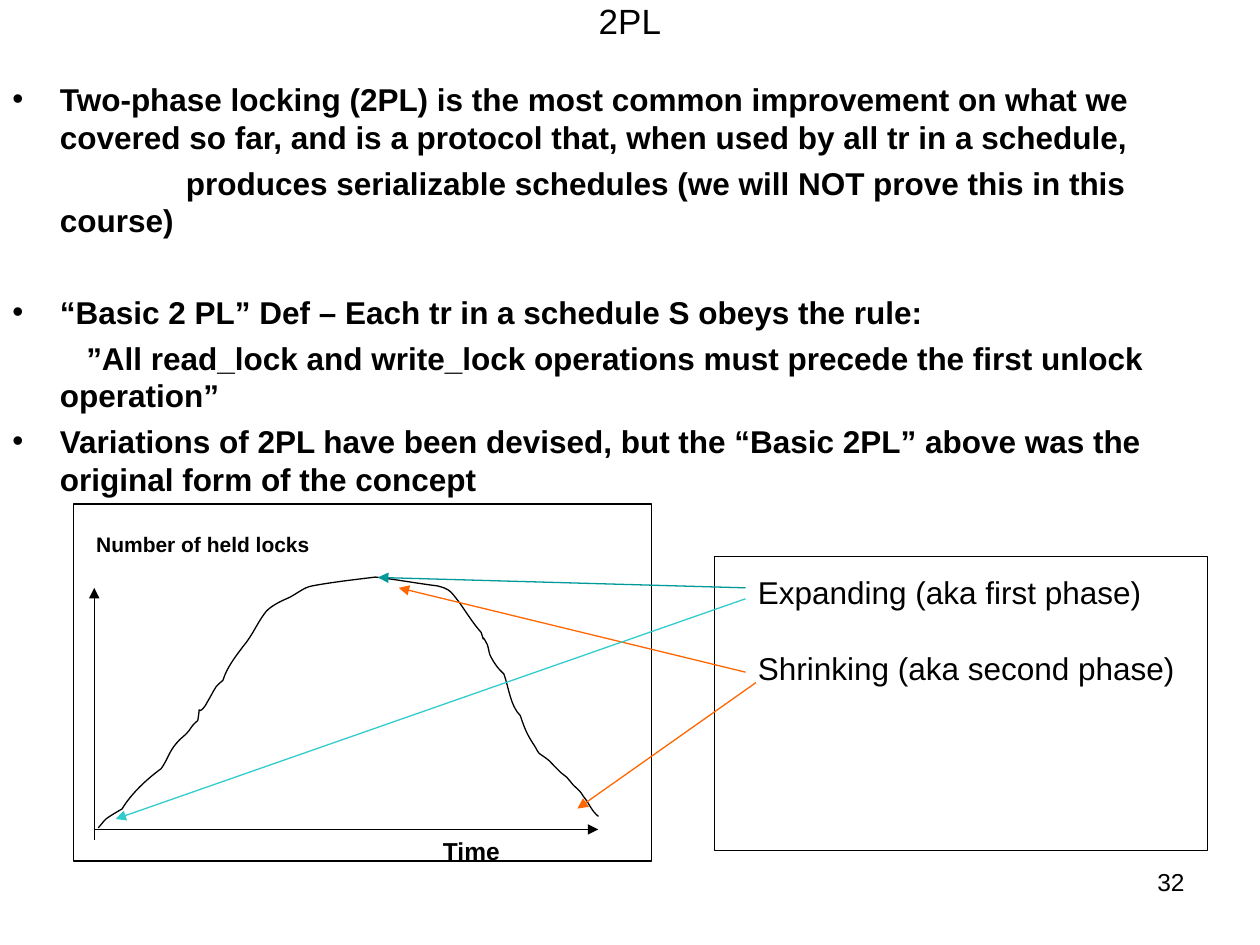
"""Build the slide on two-phase locking with its held-locks curve."""
from lxml.etree import SubElement
from pptx import Presentation
from pptx.dml.color import RGBColor
from pptx.enum.shapes import MSO_CONNECTOR, MSO_SHAPE
from pptx.enum.text import MSO_ANCHOR, PP_ALIGN
from pptx.oxml.ns import qn
from pptx.util import Cm, Pt

COLORS = {"ink": "000000", "teal": "009999", "aqua": "33CCCC", "orange": "FF6600"}

lecture = Presentation()
lecture.slide_width, lecture.slide_height = Cm(25.4), Cm(19.05)
slide = lecture.slides.add_slide(lecture.slide_layouts[6])


def add_text(place, paragraphs, font_format, paragraph_format, anchor=MSO_ANCHOR.TOP):
    frame = slide.shapes.add_textbox(*map(Cm, place)).text_frame
    frame.word_wrap = True
    frame.vertical_anchor = anchor
    for index, words in enumerate(paragraphs):
        paragraph = frame.paragraphs[0] if index == 0 else frame.add_paragraph()
        run = paragraph.add_run()
        run.text = words
        run.font.color.rgb = RGBColor.from_string(COLORS["ink"])
        for name, value in {"name": "Arial", **font_format}.items():
            setattr(run.font, name, value)
        for name, value in paragraph_format.items():
            setattr(paragraph, name, value)
    return frame.paragraphs


def add_arrow(start, end, color, tip="a:tailEnd"):
    arrow = slide.shapes.add_connector(MSO_CONNECTOR.STRAIGHT, *map(Cm, start + end))
    arrow.line.color.rgb = RGBColor.from_string(COLORS[color])
    arrow.line.width = Pt(0.75)
    SubElement(arrow.line._get_or_add_ln(), qn(tip), type="triangle")
    SubElement(arrow._element.spPr, qn("a:effectLst"))


add_text((1.27, 0, 22.86, 0.84), ["2PL"], {"size": Pt(20)},
         {"alignment": PP_ALIGN.CENTER}, MSO_ANCHOR.MIDDLE)

points = [
    ("Two-phase locking (2PL) is the most common improvement on what we covered so far, "
     "and is a protocol that, when used by all tr in a schedule,", True, 0, 4.5),
    ("produces serializable schedules (we will NOT prove this in this course)",
     False, 2.54, 4.5),
    ("“Basic 2 PL” Def – Each tr in a schedule S obeys the rule:", True, 0, 30.7),
    ("”All read_lock and write_lock operations must precede the first unlock operation”",
     False, 0.53, 4.5),
    ("Variations of 2PL have been devised, but the “Basic 2PL” above was the original "
     "form of the concept", True, 0, 4.5),
]
body = add_text((0, 1.49, 24.97, 16.71), [point[0] for point in points],
                {"size": Pt(18), "bold": True}, {})
for paragraph, (_, bulleted, indent, space) in zip(body, points):
    paragraph.space_before = Pt(space)
    properties = paragraph._p.get_or_add_pPr()
    properties.set("marL", str(Cm(0.96)))
    properties.set("indent", str(Cm(-0.96 if bulleted else indent)))
    if bulleted:
        SubElement(properties, qn("a:buFont"), typeface="Arial")
        SubElement(properties, qn("a:buChar"), char="•")

graph_frame = slide.shapes.add_shape(
    MSO_SHAPE.RECTANGLE, Cm(1.48), Cm(10.16), Cm(11.65), Cm(7.2))
add_arrow((1.9, 16.72), (12.06, 16.72), "ink")
add_arrow((1.9, 11.85), (1.9, 16.93), "ink", "a:headEnd")

curve_start = (78, 657)
curve_bends = [
    (81, 654, 83, 650, 87, 648), (90, 646, 97, 642, 97, 642),
    (104, 630, 117, 618, 128, 610), (133, 603, 134, 597, 140, 590),
    (143, 586, 147, 584, 150, 580), (152, 577, 154, 574, 157, 572),
    (160, 554, 155, 571, 163, 560), (165, 558, 165, 555, 167, 553),
    (172, 544, 171, 545, 177, 540), (180, 530, 187, 521, 193, 513),
    (200, 505, 204, 495, 210, 487), (213, 482, 223, 477, 228, 475),
    (235, 472, 241, 466, 248, 465), (264, 462, 282, 460, 298, 458),
    (315, 460, 331, 463, 347, 465), (351, 466, 355, 467, 358, 470),
    (367, 480, 373, 492, 382, 502), (386, 515, 380, 498, 387, 512),
    (388, 515, 388, 519, 390, 522), (394, 529, 395, 530, 400, 535),
    (404, 546, 405, 560, 413, 568), (417, 580, 419, 584, 425, 593),
    (426, 595, 427, 597, 428, 598), (438, 605, 432, 600, 445, 613),
    (446, 615, 449, 615, 450, 617), (452, 619, 453, 621, 455, 623),
    (458, 626, 461, 628, 463, 632), (468, 638, 469, 643, 475, 648),
]
builder = slide.shapes.build_freeform(*curve_start, scale=Cm(0.0254))
builder.add_line_segments([bend[4:] for bend in curve_bends], close=False)
curve = builder.convert_to_shape()
curve_left = min(bend[4] for bend in curve_bends + [(0, 0, 0, 0, *curve_start)])
curve_top = min(bend[5] for bend in curve_bends)
for segment, bend in zip(list(curve._element.iter(qn("a:lnTo"))), curve_bends):
    segment.tag = qn("a:cubicBezTo")
    segment.remove(segment[0])
    for x, y in zip(bend[::2], bend[1::2]):
        SubElement(segment, qn("a:pt"), x=str(x - curve_left), y=str(y - curve_top))

phases_frame = slide.shapes.add_shape(
    MSO_SHAPE.RECTANGLE, Cm(14.4), Cm(11.22), Cm(9.95), Cm(5.93))
for outline in (graph_frame, curve, phases_frame):
    outline.shadow.inherit = False
    outline.fill.background()
    outline.line.color.rgb = RGBColor.from_string(COLORS["ink"])
    outline.line.width = Pt(0.75)

for start, end, color in [
    ((15.03, 11.85), (7.62, 11.64), "teal"),
    ((15.03, 13.55), (8.04, 11.85), "orange"),
    ((15.24, 13.76), (11.64, 16.3), "orange"),
]:
    add_arrow(start, end, color)

phases = add_text((15.03, 11.43, 9.53, 4.06),
                  ["Expanding (aka first phase)", "Shrinking (aka second phase)"],
                  {"size": Pt(18)}, {})
phases[1].space_before = Pt(21.7)
add_arrow((15.03, 12.07), (2.33, 16.51), "aqua")
add_text((1.69, 10.59, 5.72, 0.77), ["Number of held locks"],
         {"size": Pt(12), "bold": True}, {})
add_text((8.68, 16.72, 2.54, 0.87), ["Time"], {"size": Pt(14), "bold": True}, {})
add_text((18.2, 17.36, 5.93, 1.31), ["32"], {"size": Pt(14)},
         {"alignment": PP_ALIGN.RIGHT})

lecture.save("out.pptx")
